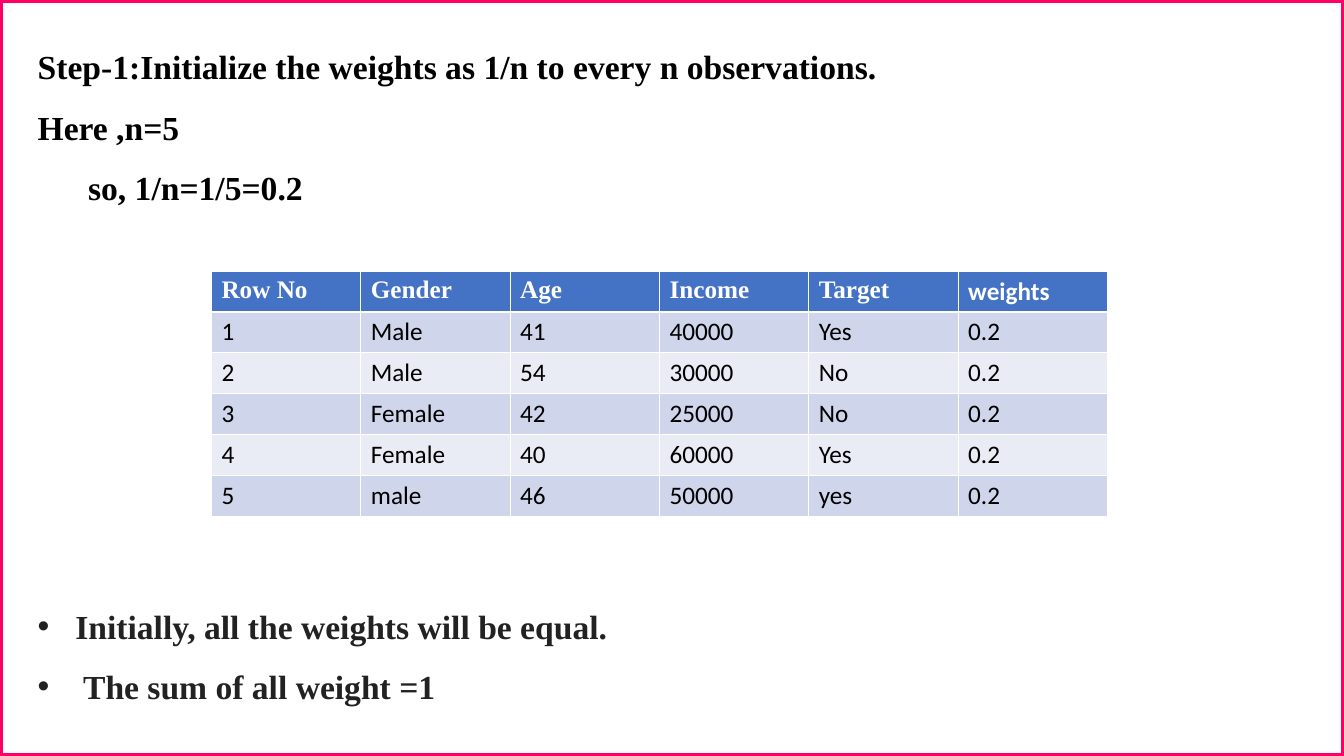
from lxml import etree
from pptx import Presentation, util as u
from pptx.dml.color import RGBColor
from pptx.enum import shapes, text

SERIF = "Times New Roman"
SANS = "Calibri"


def paint(part, tone):
    part.solid()
    part.fore_color.rgb = RGBColor.from_string(tone)


def write(frame, words, font=SERIF, size=24, tone="000000", bold=True,
          space=None, align=None, bullet=None):
    frame.word_wrap = True
    for i, line in enumerate(words.split("\n")):
        para = frame.paragraphs[0] if i == 0 else frame.add_paragraph()
        para.line_spacing = space
        para.alignment = align
        run = para.add_run()
        run.text = line
        run.font.name = font
        run.font.size = u.Pt(size)
        run.font.bold = bold
        paint(run.font.fill, tone)
        if bullet:
            props = para._p.get_or_add_pPr()
            props.set("marL", str(u.Cm(0.95)))
            props.set("indent", str(u.Cm(-0.95)))
            space_name = "{http://schemas.openxmlformats.org/drawingml/2006/main}"
            face = etree.SubElement(props, space_name + "buFont")
            face.set("typeface", "Arial")
            mark = etree.SubElement(props, space_name + "buChar")
            mark.set("char", bullet)


deck = Presentation()
deck.slide_width = u.Cm(33.87)
deck.slide_height = u.Cm(19.05)
slide = deck.slides.add_slide(deck.slide_layouts[6])

intro = slide.shapes.add_textbox(u.Cm(0.7), u.Cm(0.53), u.Cm(23.62), u.Cm(4.7))
write(intro.text_frame,
      "Step-1:Initialize the weights as 1/n to every n observations.\n"
      "Here ,n=5\n"
      "\tso, 1/n=1/5=0.2",
      space=1.5, align=text.PP_ALIGN.JUSTIFY)

rows = [
    ("Row No", "Gender", "Age", "Income", "Target", "weights"),
    ("1", "Male", "41", "40000", "Yes", "0.2"),
    ("2", "Male", "54", "30000", "No", "0.2"),
    ("3", "Female", "42", "25000", "No", "0.2"),
    ("4", "Female", "40", "60000", "Yes", "0.2"),
    ("5", "male", "46", "50000", "yes", "0.2"),
]
grid = slide.shapes.add_table(len(rows), len(rows[0]), u.Cm(5.33), u.Cm(6.83),
                              u.Cm(22.58), u.Cm(6.18)).table
for r, row in enumerate(rows):
    head = r == 0
    for c, word in enumerate(row):
        cell = grid.cell(r, c)
        paint(cell.fill, "4472C4" if head else "CFD5EA" if r % 2 else "E9EBF5")
        write(cell.text_frame, word, size=18, bold=head,
              font=SERIF if head and word != "weights" else SANS,
              tone="FFFFFF" if head else "000000")

notes = slide.shapes.add_textbox(u.Cm(0.7), u.Cm(14.63), u.Cm(20.35), u.Cm(3.15))
write(notes.text_frame,
      "Initially, all the weights will be equal.\n The sum of all weight =1",
      tone="222222", space=1.5, bullet="•")

frame = slide.shapes.add_shape(shapes.MSO_SHAPE.RECTANGLE, 0, 0,
                               deck.slide_width, deck.slide_height)
frame.shadow.inherit = False
frame.fill.background()
paint(frame.line.fill, "FF0066")
frame.line.width = u.Pt(4.5)

deck.save("out.pptx")
